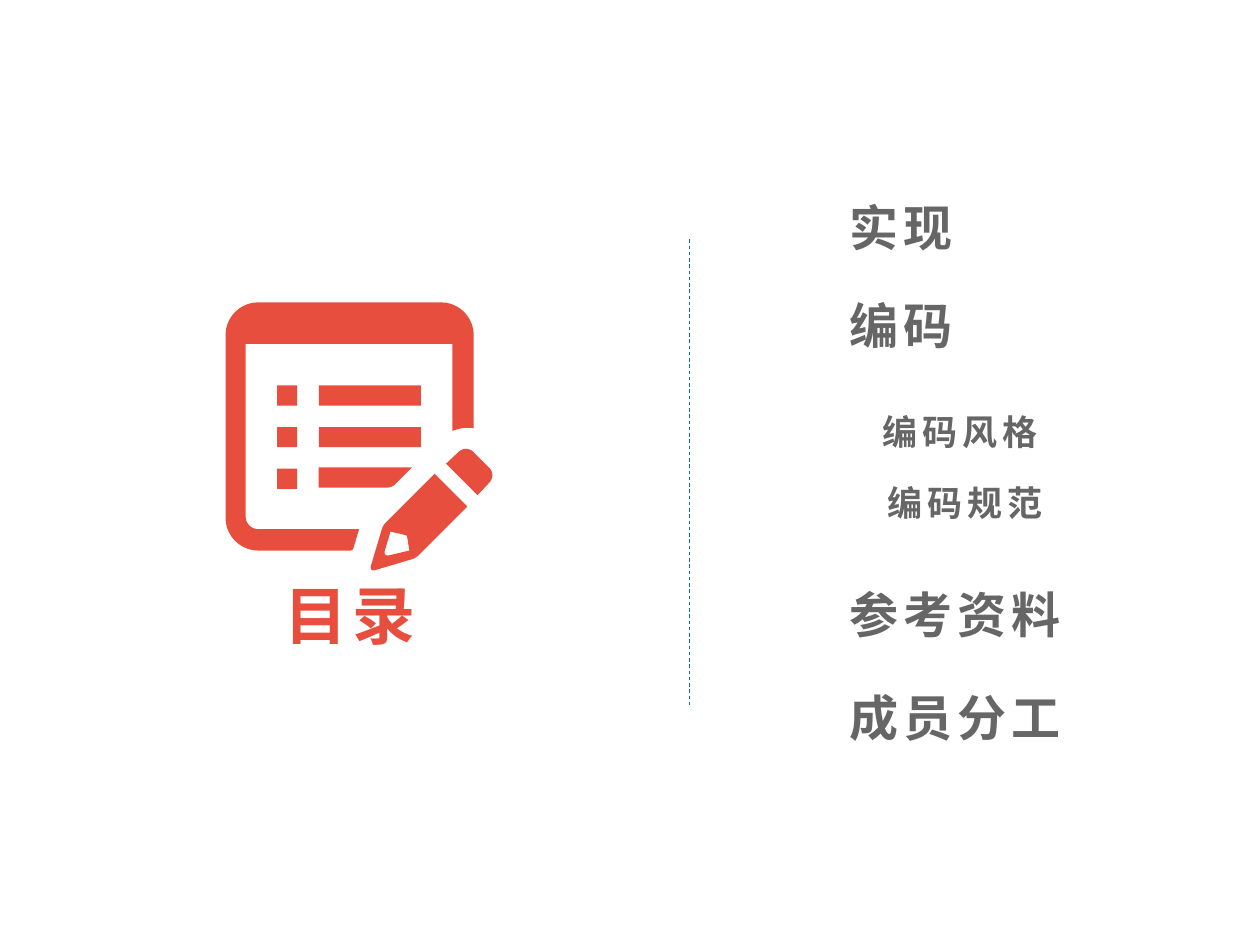
"""Build a table-of-contents slide with a notepad icon and a list of sections."""
from math import hypot

from lxml.etree import SubElement
from pptx import Presentation
from pptx.dml.color import RGBColor
from pptx.enum.dml import MSO_LINE
from pptx.enum.shapes import MSO_CONNECTOR, MSO_SHAPE
from pptx.enum.text import MSO_AUTO_SIZE, PP_ALIGN
from pptx.oxml.ns import qn
from pptx.util import Inches, Pt

RED = RGBColor(0xE7, 0x4E, 0x3E)
GREY = RGBColor(0x66, 0x66, 0x66)
BLUE = RGBColor(0x01, 0x74, 0xAB)
FONT = "Noto Sans CJK SC"

TITLE = ("目录", 1.4, 4.53, 2.76, 0.71)
SECTIONS = [("实现", 1.52), ("编码", 2.3), ("参考资料", 4.59), ("成员分工", 5.41)]
SUBSECTIONS = [("编码风格", 6.64, 3.08), ("编码规范", 6.68, 3.64)]

# Each corner is x, y, rounding length.
FRAME = [
    (2.85, 4.2, 0), (2.8, 4.37, 0.02), (1.79, 4.37, 0.26), (1.79, 2.4, 0.26),
    (3.76, 2.4, 0.26), (3.76, 3.4, 0), (3.69, 3.39, 0.05), (3.59, 3.42, 0),
    (3.59, 2.73, 0), (1.95, 2.73, 0), (1.95, 4.2, 0.1),
]
PENCIL = [
    (3.45, 3.76, 0), (3.71, 4.02, 0), (3.3, 4.43, 0.03),
    (2.93, 4.54, 0.05), (3.04, 4.17, 0.03),
]
PENCIL_TIP = [
    (3.1, 4.22, 0), (3.04, 4.42, 0.05), (3.25, 4.37, 0), (3.23, 4.25, 0.01),
]
ERASER = [(3.54, 3.68, 0), (3.7, 3.53, 0.08), (3.94, 3.77, 0.08), (3.79, 3.93, 0)]
SHORT_BAR = [
    (2.53, 3.71, 0), (3.27, 3.71, 0), (3.11, 3.87, 0.03), (2.53, 3.87, 0),
]
OUTLINES = [[FRAME], [PENCIL, PENCIL_TIP], [ERASER], [SHORT_BAR]]
BULLETS = [(2.2, 3.06 + 0.33 * row, 0.16) for row in range(3)]
LONG_BARS = [(2.53, 3.06 + 0.33 * row, 0.81) for row in range(2)]


def toward(start, goal, length):
    distance = hypot(goal[0] - start[0], goal[1] - start[1])
    return tuple(start[i] + (goal[i] - start[i]) * length / distance for i in (0, 1))


def rounded(corners, steps=10):
    points = []
    for index, corner in enumerate(corners):
        x, y, length = corner
        if not length:
            points.append((x, y))
            continue
        before, after = corners[index - 1], corners[(index + 1) % len(corners)]
        controls = [
            toward(corner, before, length), toward(corner, before, 0.45 * length),
            toward(corner, after, 0.45 * length), toward(corner, after, length),
        ]
        for step in range(steps + 1):
            t = step / steps
            weights = ((1 - t) ** 3, 3 * t * (1 - t) ** 2, 3 * t * t * (1 - t), t ** 3)
            points.append(tuple(
                sum(w * control[i] for w, control in zip(weights, controls))
                for i in (0, 1)))
    return [(Inches(x), Inches(y)) for x, y in points]


def paint(shape):
    shape.shadow.inherit = False
    shape.fill.solid()
    shape.fill.fore_color.rgb = RED
    shape.line.fill.background()


def add_icon(page):
    icon = page.shapes.add_group_shape()
    for contours in OUTLINES:
        first, *holes = [rounded(contour) for contour in contours]
        builder = icon.shapes.build_freeform(*first[0], scale=1.0)
        builder.add_line_segments(first[1:], close=True)
        for hole in holes:
            builder.move_to(*hole[0])
            builder.add_line_segments(hole[1:], close=True)
        paint(builder.convert_to_shape())
    for left, top, width in BULLETS + LONG_BARS:
        paint(icon.shapes.add_shape(
            MSO_SHAPE.RECTANGLE, Inches(left), Inches(top), Inches(width), Inches(0.16)))


def add_text(page, text, left, top, width, height, size=28, color=GREY):
    box = page.shapes.add_textbox(
        Inches(left), Inches(top), Inches(width), Inches(height))
    frame = box.text_frame
    frame.word_wrap = True
    frame.auto_size = MSO_AUTO_SIZE.SHAPE_TO_FIT_TEXT
    para = frame.paragraphs[0]
    span = para.add_run()
    span.text = text
    span.font.name = FONT
    span.font.size = Pt(size)
    span.font.bold = True
    span.font.color.rgb = color
    properties = span.font._element
    properties.set("spc", "300")
    SubElement(properties, qn("a:ea")).set("typeface", FONT)
    return frame


def add_divider(page):
    divider = page.shapes.add_connector(
        MSO_CONNECTOR.STRAIGHT, Inches(5.47), Inches(1.9), Inches(5.47), Inches(5.6))
    divider.line.color.rgb = BLUE
    divider.line.width = Pt(0.5)
    divider.line.dash_style = MSO_LINE.DASH
    SubElement(divider._element.spPr, qn("a:effectLst"))


def main():
    deck = Presentation()
    deck.slide_width, deck.slide_height = Inches(10), Inches(7.5)
    page = deck.slides.add_slide(deck.slide_layouts[6])
    add_divider(page)
    add_icon(page)
    title = add_text(page, *TITLE, size=36, color=RED)
    title.paragraphs[0].alignment = PP_ALIGN.CENTER
    for text, top in SECTIONS:
        add_text(page, text, 6.64, top, 1.96, 0.57)
    for text, left, top in SUBSECTIONS:
        frame = add_text(page, text, left, top, 2.18, 0.57, size=20)
        frame.margin_left = Inches(0.36)
        frame.margin_top = Inches(0.18)
    deck.save("out.pptx")


if __name__ == "__main__":
    main()
